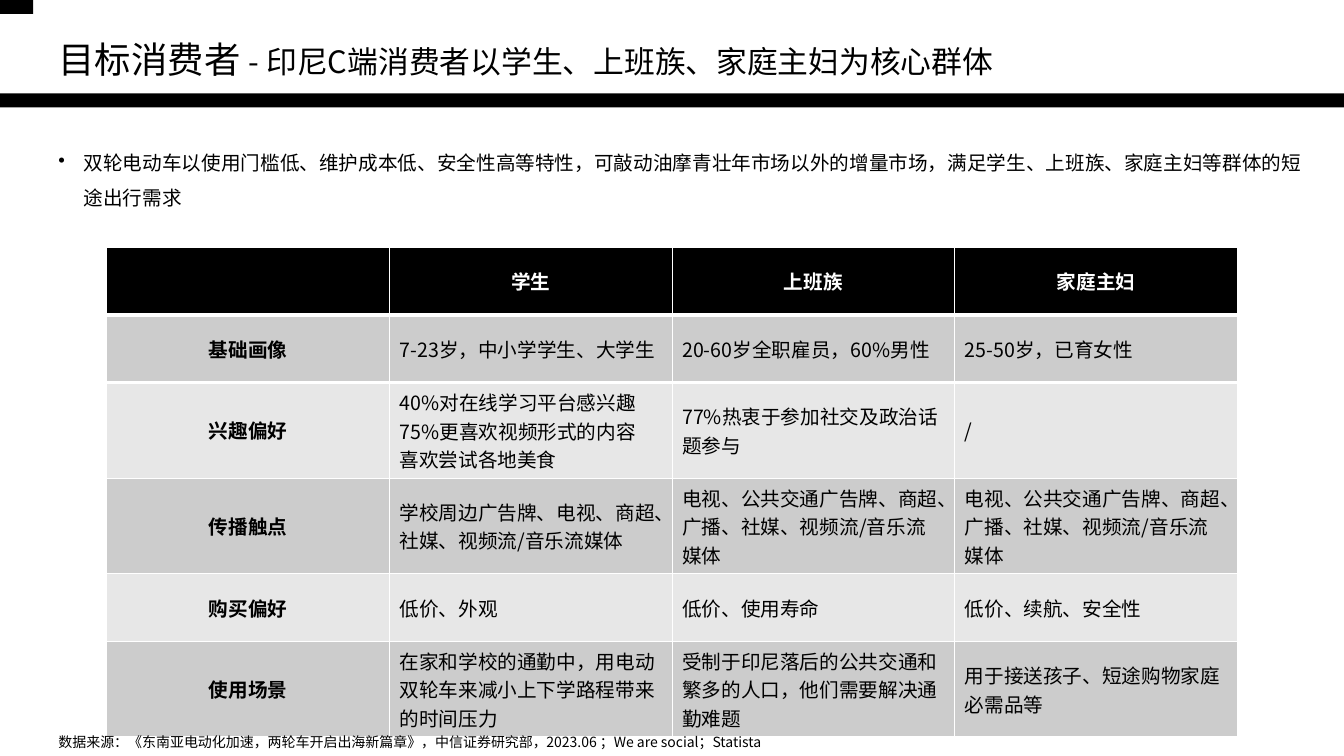
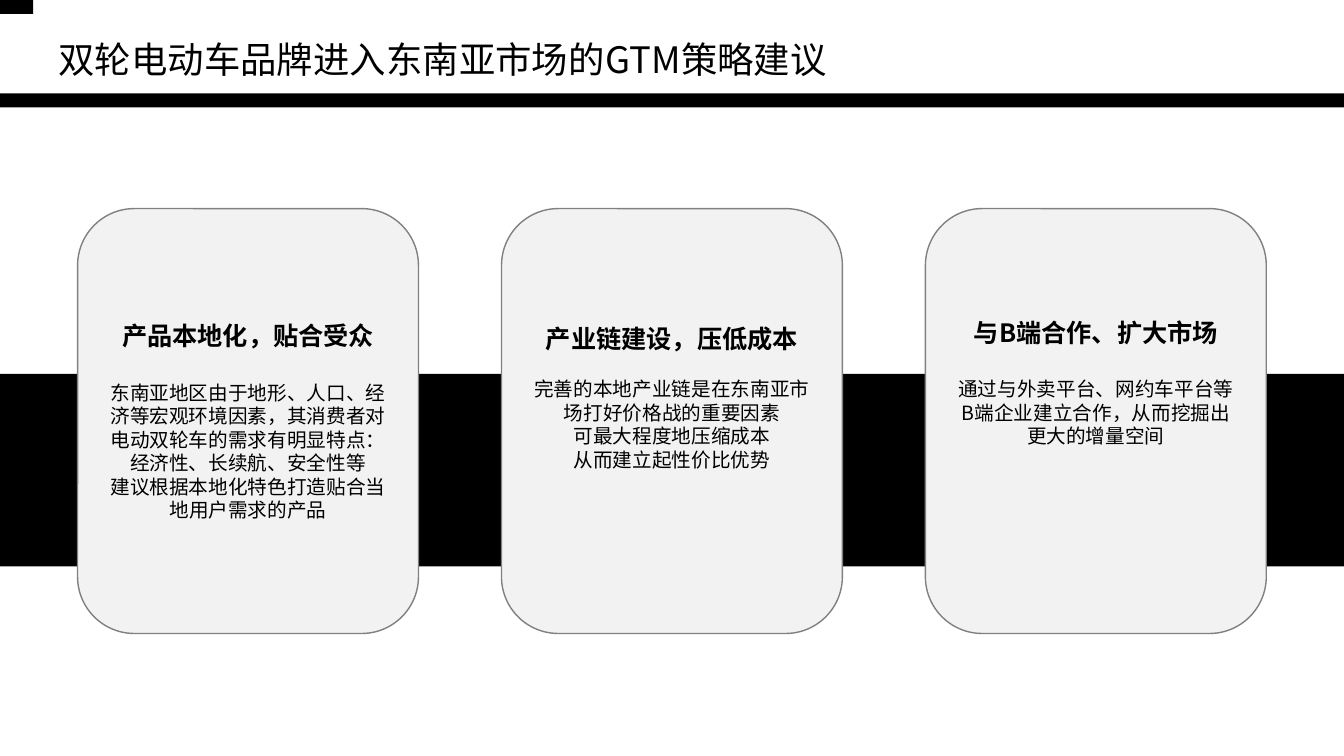
from lxml.etree import Element, SubElement
from pptx import Presentation
from pptx.dml.color import RGBColor
from pptx.enum.shapes import MSO_SHAPE as Shape
from pptx.enum.text import MSO_ANCHOR as Anchor, PP_ALIGN as Align
from pptx.oxml.ns import qn
from pptx.util import Pt

FONT = "Noto Sans CJK SC"
BLACK = RGBColor(0x00, 0x00, 0x00)
WHITE = RGBColor(0xFF, 0xFF, 0xFF)
BANDS = (RGBColor(0xCC, 0xCC, 0xCC), RGBColor(0xE7, 0xE7, 0xE7))
CARD_FILL = RGBColor(0xF2, 0xF2, 0xF2)
CARD_LINE = RGBColor(0x80, 0x80, 0x80)

SLIDE_W, SLIDE_H = 960, 540
TEXT_LEFT, TEXT_W = 34.7, 903.6
TITLE_SIZE, SUBTITLE_SIZE = 26, 22
HEADING_SIZE, BODY_SIZE, SOURCE_SIZE = 18, 14, 10
LEADING = 1.2
SHORT_ROW, TALL_ROW = 48.3, 68.3

AUDIENCE_ROWS = [
    ("", "学生", "上班族", "家庭主妇"),
    ("基础画像", "7-23岁，中小学学生、大学生", "20-60岁全职雇员，60%男性", "25-50岁，已育女性"),
    ("兴趣偏好", "40%对在线学习平台感兴趣\n75%更喜欢视频形式的内容\n喜欢尝试各地美食",
     "77%热衷于参加社交及政治话题参与", "/"),
    ("传播触点", "学校周边广告牌、电视、商超、社媒、视频流/音乐流媒体",
     "电视、公共交通广告牌、商超、广播、社媒、视频流/音乐流媒体",
     "电视、公共交通广告牌、商超、广播、社媒、视频流/音乐流媒体"),
    ("购买偏好", "低价、外观", "低价、使用寿命", "低价、续航、安全性"),
    ("使用场景", "在家和学校的通勤中，用电动双轮车来减小上下学路程带来的时间压力",
     "受制于印尼落后的公共交通和繁多的人口，他们需要解决通勤难题",
     "用于接送孩子、短途购物家庭必需品等"),
]

# Heading, paragraphs, gap below the heading, space kept free at the bottom
STRATEGIES = [
    ("产品本地化，贴合受众",
     ["东南亚地区由于地形、人口、经济等宏观环境因素，其消费者对电动双轮车的需求有明显特点：经济性、长续航、安全性等",
      "建议根据本地化特色打造贴合当地用户需求的产品"], 21.6, 0),
    ("产业链建设，压低成本",
     ["完善的本地产业链是在东南亚市场打好价格战的重要因素",
      "可最大程度地压缩成本", "从而建立起性价比优势"], 16.8, 33.6),
    ("与B端合作、扩大市场",
     ["通过与外卖平台、网约车平台等B端企业建立合作，从而挖掘出更大的增量空间"], 21.6, 55.2),
]


def style(paragraph, size, color=BLACK, bold=False, align=Align.LEFT):
    """Set the paragraph's font for Latin and East Asian text alike."""
    paragraph.alignment = align
    font = paragraph.font
    font.size, font.bold, font.name = Pt(size), bold, FONT
    font.color.rgb = color
    defaults = paragraph._p.get_or_add_pPr().find(qn("a:defRPr"))
    SubElement(defaults, qn("a:ea")).set("typeface", FONT)


def add_bullet(paragraph, indent):
    properties = paragraph._p.get_or_add_pPr()
    properties.set("marL", str(Pt(indent)))
    properties.set("indent", str(-Pt(indent)))
    SubElement(properties, qn("a:buChar")).set("char", "•")


def set_border(cell, side, width, color):
    """Draw one cell border; side is an element name such as a:lnB."""
    border = Element(qn(side), w=str(Pt(width)))
    fill = SubElement(border, qn("a:solidFill"))
    SubElement(fill, qn("a:srgbClr")).set("val", str(color))
    cell._tc.get_or_add_tcPr().insert(0, border)


def add_box(slide, kind, left, top, width, height, fill, line=None):
    box = slide.shapes.add_shape(kind, Pt(left), Pt(top), Pt(width), Pt(height))
    box.shadow.inherit = False
    box.fill.solid()
    box.fill.fore_color.rgb = fill
    if line is None:
        box.line.fill.background()
    else:
        box.line.color.rgb = line
        box.line.width = Pt(1)
    return box


def add_text_frame(slide, left, top, width, height, wrap=True):
    frame = slide.shapes.add_textbox(Pt(left), Pt(top), Pt(width), Pt(height)).text_frame
    frame.word_wrap = wrap
    return frame


def add_titled_slide(deck, title, subtitle=""):
    """Add a slide with the shared rule, corner mark and title."""
    slide = deck.slides.add_slide(deck.slide_layouts[6])
    add_box(slide, Shape.RECTANGLE, 0, 66.7, SLIDE_W, 10, BLACK)
    add_box(slide, Shape.RECTANGLE, 0, 0, 23.7, 10, BLACK)
    frame = add_text_frame(slide, TEXT_LEFT, 22.2, TEXT_W, 44)
    frame.vertical_anchor = Anchor.MIDDLE
    heading = frame.paragraphs[0]
    heading.line_spacing = 0.9
    style(heading, TITLE_SIZE)
    heading.add_run().text = title
    if subtitle:
        detail = heading.add_run()
        detail.text = subtitle
        detail.font.size = Pt(SUBTITLE_SIZE)
    return slide


def add_summary(slide, left, top, width, height, text):
    summary = add_text_frame(slide, left, top, width, height).paragraphs[0]
    summary.text = text
    summary.line_spacing = Pt(BODY_SIZE * LEADING * 1.5)
    add_bullet(summary, 18)
    style(summary, BODY_SIZE)


def add_audience_table(slide, left, top, width, row_heights):
    columns = len(AUDIENCE_ROWS[0])
    table = slide.shapes.add_table(
        len(AUDIENCE_ROWS), columns, Pt(left), Pt(top), Pt(width), Pt(sum(row_heights))).table
    for column in table.columns:
        column.width = Pt(width / columns)
    for r, (texts, height) in enumerate(zip(AUDIENCE_ROWS, row_heights)):
        table.rows[r].height = Pt(height)
        for c, text in enumerate(texts):
            header, label = r == 0, r == 0 or c == 0
            cell = table.cell(r, c)
            cell.text = text
            cell.vertical_anchor = Anchor.MIDDLE
            cell.fill.solid()
            cell.fill.fore_color.rgb = BLACK if header else BANDS[(r - 1) % 2]
            if header:
                set_border(cell, "a:lnB", 3, WHITE)
            elif r == 1:
                set_border(cell, "a:lnT", 3, WHITE)
            for paragraph in cell.text_frame.paragraphs:
                style(paragraph, BODY_SIZE, WHITE if header else BLACK, label,
                      Align.CENTER if label else Align.LEFT)


def add_source_note(slide, left, top, width, height, text):
    note = add_text_frame(slide, left, top, width, height, wrap=False).paragraphs[0]
    note.text = text
    note.line_spacing = Pt(SOURCE_SIZE * LEADING)
    style(note, SOURCE_SIZE)


def add_strategy_card(slide, left, top, width, height, strategy):
    title, points, gap, reserve = strategy
    card = add_box(slide, Shape.ROUNDED_RECTANGLE, left, top, width, height, CARD_FILL, CARD_LINE)
    frame = card.text_frame
    frame.word_wrap = True
    frame.vertical_anchor = Anchor.MIDDLE
    frame.margin_bottom = Pt(3.6 + reserve)
    frame.text = "\n".join([title, *points])
    for i, paragraph in enumerate(frame.paragraphs):
        size = BODY_SIZE if i else HEADING_SIZE
        paragraph.line_spacing = Pt(size * LEADING)
        if i == 0:
            paragraph.space_after = Pt(gap)
        style(paragraph, size, bold=i == 0, align=Align.CENTER)


def build_audience_slide(deck):
    slide = add_titled_slide(deck, "目标消费者 ", "- 印尼C端消费者以学生、上班族、家庭主妇为核心群体")
    add_summary(slide, TEXT_LEFT, 95.8, TEXT_W, 142,
                "双轮电动车以使用门槛低、维护成本低、安全性高等特性，可敲动油摩青壮年市场以外的增量市场，"
                "满足学生、上班族、家庭主妇等群体的短途出行需求")
    add_audience_table(slide, 76.3, 176.7, 807.6,
                       [SHORT_ROW, SHORT_ROW, TALL_ROW, TALL_ROW, SHORT_ROW, TALL_ROW])
    add_source_note(slide, TEXT_LEFT, 520.6, 529, 19.4,
                    "数据来源：《东南亚电动化加速，两轮车开启出海新篇章》，中信证券研究部，2023.06 ；"
                    "We are social；Statista")


def build_strategy_slide(deck):
    slide = add_titled_slide(deck, "双轮电动车品牌进入东南亚市场的GTM策略建议")
    add_box(slide, Shape.RECTANGLE, 0, 267, SLIDE_W, 137.5, BLACK)
    card_w, pitch = 243.5, 302.8
    first_left = (SLIDE_W - card_w - pitch * (len(STRATEGIES) - 1)) / 2
    for i, strategy in enumerate(STRATEGIES):
        add_strategy_card(slide, first_left + i * pitch, 149, card_w, 303.5, strategy)


def main():
    deck = Presentation()
    deck.slide_width, deck.slide_height = Pt(SLIDE_W), Pt(SLIDE_H)
    build_audience_slide(deck)
    build_strategy_slide(deck)
    deck.save("out.pptx")


if __name__ == "__main__":
    main()
